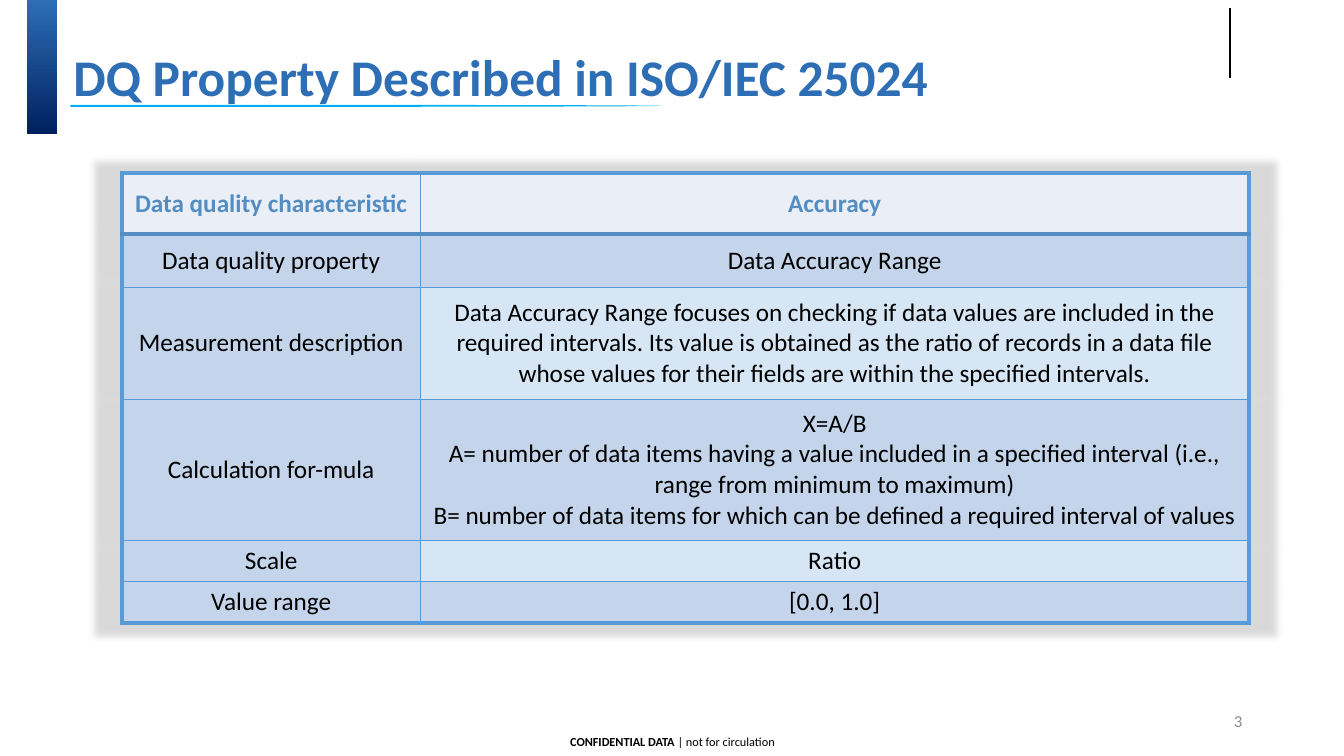
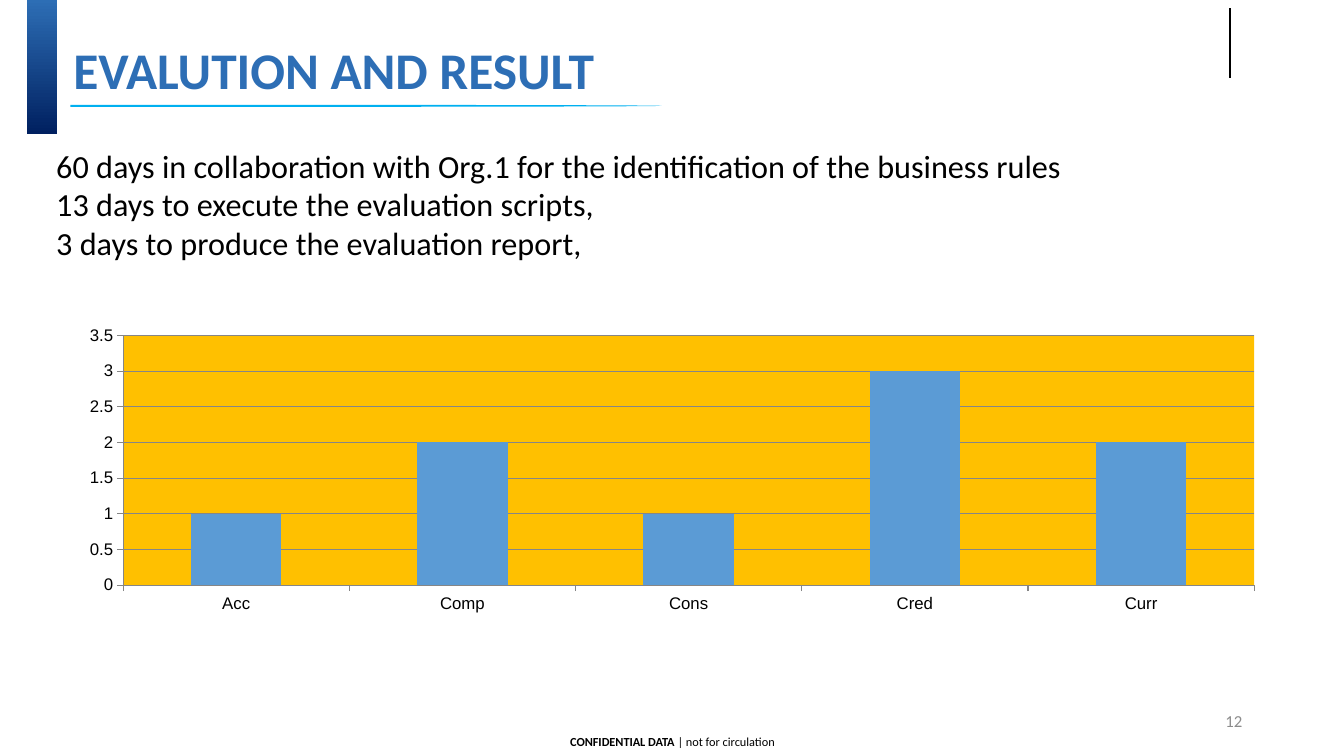
from pptx import Presentation, util as u
from pptx.chart import data as cd
from pptx.dml import color as dc
from pptx.enum import chart as ce, shapes as sh, text as tx
from pptx.oxml import parse_xml
from pptx.oxml.ns import nsdecls, qn
from lxml import etree


# Theme: colours and type styles
class Theme:
    ink = "000000"
    paper = "FFFFFF"
    blue = "2D6EB5"
    navy = "002060"
    cyan = "00B0F0"
    gray = "8C8C8C"
    edge = "5B9BD5"
    head = "538DC1"
    pale = "EAEFF7"
    mid = "C4D5EB"
    light = "D6E6F5"
    gold = "FFC000"
    grid = "868686"
    bars = ["5B9BD5", "ED7D31", "A5A5A5"]
    type = {
        "title": {"size": u.Pt(36.7), "bold": True},
        "body": {"size": u.Pt(23), "bold": False},
        "cell": {"size": u.Pt(18), "bold": False},
        "label": {"size": u.Pt(18), "bold": True},
        "foot": {"size": u.Pt(8.8), "bold": False},
        "mark": {"size": u.Pt(8.8), "bold": True},
        "num": {"size": u.Pt(12), "bold": False},
    }


rgb = dc.RGBColor.from_string
LEFT, MID, RIGHT = tx.PP_ALIGN.LEFT, tx.PP_ALIGN.CENTER, tx.PP_ALIGN.RIGHT

deck = Presentation()
deck.slide_width, deck.slide_height = u.Inches(13.33), u.Inches(7.5)


def area(*cells):
    """Turn shares of the slide (percent: x, y, x, y) into lengths."""
    sides = (deck.slide_width, deck.slide_height) * 2
    return [u.Emu(round(n * side / 100)) for n, side in zip(cells, sides)]


def write(frame, lines, align=LEFT, tone=Theme.ink, space=None):
    """Fill a text frame; a line is a list of (style, words) runs."""
    for i, line in enumerate(lines):
        para = frame.paragraphs[0] if i == 0 else frame.add_paragraph()
        para.alignment = align
        para.line_spacing = space
        for style, words in line:
            run = para.add_run()
            run.text = words
            run.font.color.rgb = rgb(tone)
            for key, val in {"name": "Calibri", **Theme.type[style]}.items():
                setattr(run.font, key, val)


# Shared frame: underline, band, tick, title, footer, number
pages = []
for title, size, num in [
    ("DQ Property Described in ISO/IEC 25024", (90.17, 12), "3"),
    ("EVALUTION AND RESULT", (77.57, 10.13), "12"),
]:
    page = deck.slides.add_slide(deck.slide_layouts[6])
    pages.append(page)

    for kind, place, tone in [
        (sh.MSO_SHAPE.OVAL, (-13.28, 13.87, 62.5, 0.27), Theme.cyan),
        (sh.MSO_SHAPE.RECTANGLE, (0, 0, 5.25, 22), Theme.paper),
        (sh.MSO_SHAPE.RECTANGLE, (2.03, 0, 2.25, 17.73), None),
    ]:
        form = page.shapes.add_shape(kind, *area(*place))
        form.shadow.inherit = False
        form.line.fill.background()
        if tone:
            form.fill.solid()
            form.fill.fore_color.rgb = rgb(tone)
        else:
            form.fill.gradient()
            form.fill.gradient_angle = 270
            for stop, end in zip(form.fill.gradient_stops, (0, 1)):
                stop.position = end
                stop.color.rgb = rgb((Theme.blue, Theme.navy)[end])

    tick = page.shapes.add_connector(
        sh.MSO_CONNECTOR.STRAIGHT, *area(91.52, 1.07, 91.52, 10.27))
    tick.line.color.rgb = rgb(Theme.ink)
    tick.line.width = u.Pt(1)
    etree.SubElement(tick._element.spPr, qn("a:effectLst"))

    foot = [("mark", "CONFIDENTIAL DATA "), ("foot", "| not for circulation")]
    for place, line, wrap, align, tone, space in [
        ((41.49, 96.4, 17.1, 3.33), foot, False, MID, Theme.ink, None),
        ((70.67, 92.67, 22.5, 5.33), [("num", num)], True, RIGHT, Theme.gray, None),
        ((4.73, 4.53, *size), [("title", title)], True, LEFT, Theme.blue, 0.9),
    ]:
        frame = page.shapes.add_textbox(*area(*place)).text_frame
        frame.word_wrap = wrap
        frame.vertical_anchor = tx.MSO_ANCHOR.MIDDLE
        write(frame, [line], align, tone, space)

# Slide 1: property table
rows = [
    (8, "Data quality characteristic", ["Accuracy"]),
    (7.07, "Data quality property", ["Data Accuracy Range"]),
    (14.8, "Measurement description", [
        "Data Accuracy Range focuses on checking if data values are included "
        "in the required intervals. Its value is obtained as the ratio of "
        "records in a data file whose values for their fields are within the "
        "specified intervals."]),
    (18.67, "Calculation for-mula", [
        "X=A/B",
        "A= number of data items having a value included in a specified "
        "interval (i.e., range from minimum to maximum)",
        "B= number of data items for which can be defined a required "
        "interval of values"]),
    (5.47, "Scale", ["Ratio"]),
    (5.47, "Value range", ["[0.0, 1.0]"]),
]
tall = sum(row[0] for row in rows)
table = pages[0].shapes.add_table(
    len(rows), 2, *area(9.08, 22.93, 83.85, tall)).table
for col, share in zip(table.columns, (22.2, 61.65)):
    col.width = area(share)[0]

last = len(rows) - 1
for r, (share, name, value) in enumerate(rows):
    table.rows[r].height = area(0, share)[1]
    for c, lines in enumerate(([name], value)):
        cell = table.cell(r, c)
        cell.vertical_anchor = tx.MSO_ANCHOR.MIDDLE
        cell.fill.solid()
        odd = c == 1 and r in (2, 4)
        cell.fill.fore_color.rgb = rgb(
            Theme.pale if r == 0 else Theme.light if odd else Theme.mid)
        style, tone = ("label", Theme.head) if r == 0 else ("cell", Theme.ink)
        write(cell.text_frame, [[(style, words)] for words in lines], MID, tone)

        # Borders: thick outside, a rule under the head, thin inside
        rule = {"lnL": c == 0, "lnR": c == 1, "lnT": r == 0, "lnB": r == last}
        props = cell._tc.get_or_add_tcPr()
        for i, (side, outer) in enumerate(rule.items()):
            wide, tone = (3.15 if outer else 1), Theme.edge
            if (r, side) in ((0, "lnB"), (1, "lnT")):
                wide, tone = 2.79, Theme.head
            props.insert(i, parse_xml(
                f'<a:{side} {nsdecls("a")} w="{u.Pt(wide)}"><a:solidFill>'
                f'<a:srgbClr val="{tone}"/></a:solidFill></a:{side}>'))

# Soft shadow around the table
table._tbl.tblPr.insert(0, parse_xml(
    f'<a:effectLst {nsdecls("a")}><a:outerShdw blurRad="63500" sx="104500" '
    f'sy="104500" algn="ctr" rotWithShape="0"><a:srgbClr val="{Theme.ink}">'
    '<a:alpha val="15000"/></a:srgbClr></a:outerShdw></a:effectLst>'))

# Slide 2: effort in days
frame = pages[1].shapes.add_textbox(*area(3.45, 18.67, 86.95, 16.53)).text_frame
frame.word_wrap = True
write(frame, [[("body", words)] for words in (
    "60 days in collaboration with Org.1 for the identification of the business rules",
    "13 days to execute the evaluation scripts,",
    "3 days to produce the evaluation report,")])

# Slide 2: column chart
data = cd.CategoryChartData()
data.categories = ["Acc", "Comp", "Cons", "Cred", "Curr"]
for i, vals in enumerate([(1, 2, 1, 3, 2), (None,) * 5, (None,) * 5], 1):
    data.add_series(f"Series {i}", vals)
chart = pages[1].shapes.add_chart(
    ce.XL_CHART_TYPE.COLUMN_STACKED, *area(4.88, 42.4, 90.25, 39.47), data).chart
chart.has_legend = chart.has_title = False
for key, val in {"name": "Arial", "size": u.Pt(12)}.items():
    setattr(chart.font, key, val)
chart.font.color.rgb = rgb(Theme.ink)

plot = chart.plots[0]
for key, val in {"gap_width": 150, "overlap": 100, "vary_by_categories": False}.items():
    setattr(plot, key, val)
for bar, tone in zip(plot.series, Theme.bars):
    bar.format.fill.solid()
    bar.format.fill.fore_color.rgb = rgb(tone)

axis = chart.value_axis
for key, val in {"minimum_scale": 0, "maximum_scale": 3.5, "major_unit": 0.5,
                 "has_major_gridlines": True}.items():
    setattr(axis, key, val)
for part in (axis, chart.category_axis, axis.major_gridlines):
    part.format.line.color.rgb = rgb(Theme.grid)
    part.format.line.width = u.Pt(0.75)
for part in (axis, chart.category_axis):
    part.major_tick_mark = ce.XL_TICK_MARK.OUTSIDE

chart._chartSpace.chart.plotArea.append(parse_xml(
    f'<c:spPr {nsdecls("c", "a")}><a:solidFill>'
    f'<a:srgbClr val="{Theme.gold}"/></a:solidFill></c:spPr>'))

deck.save("out.pptx")
